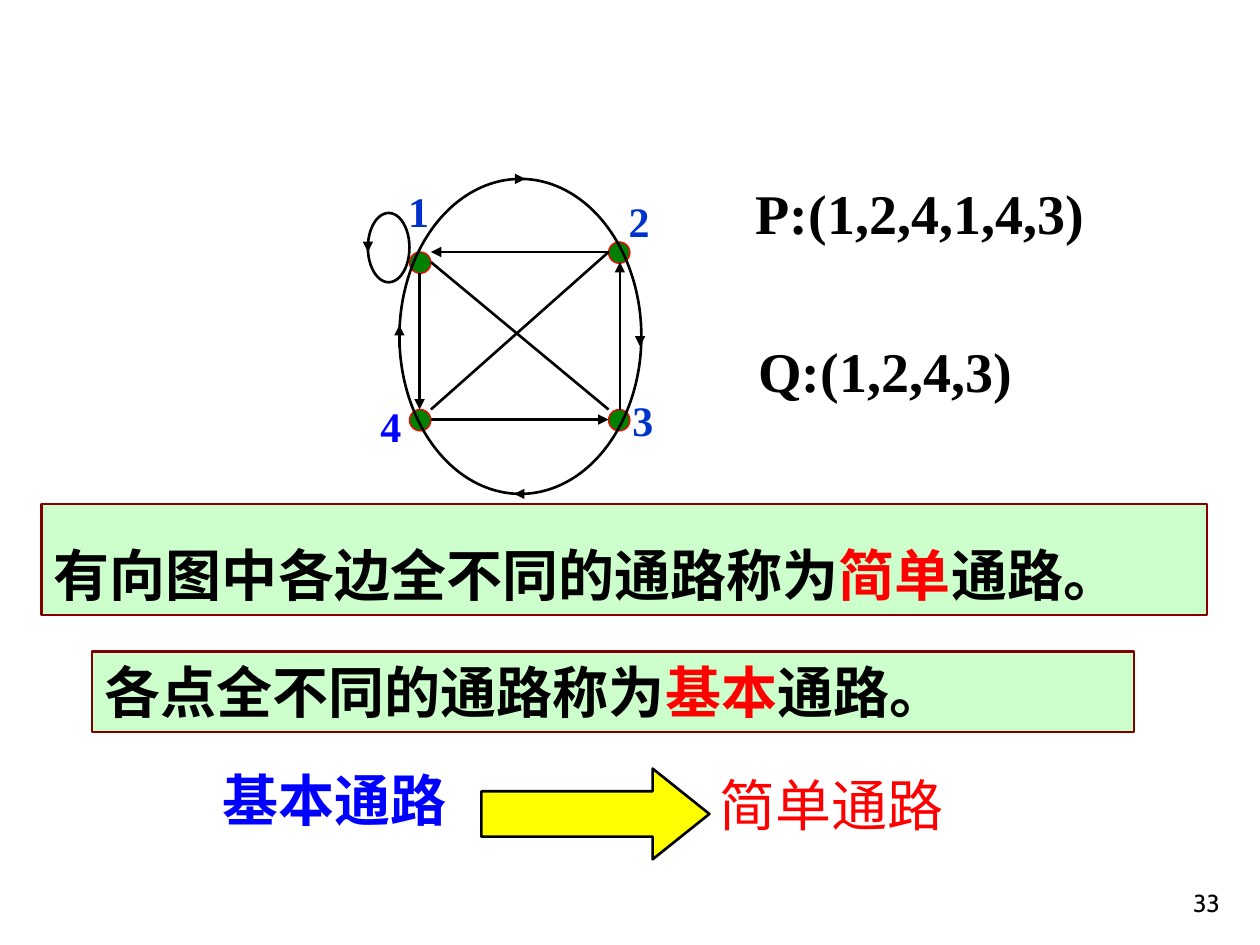
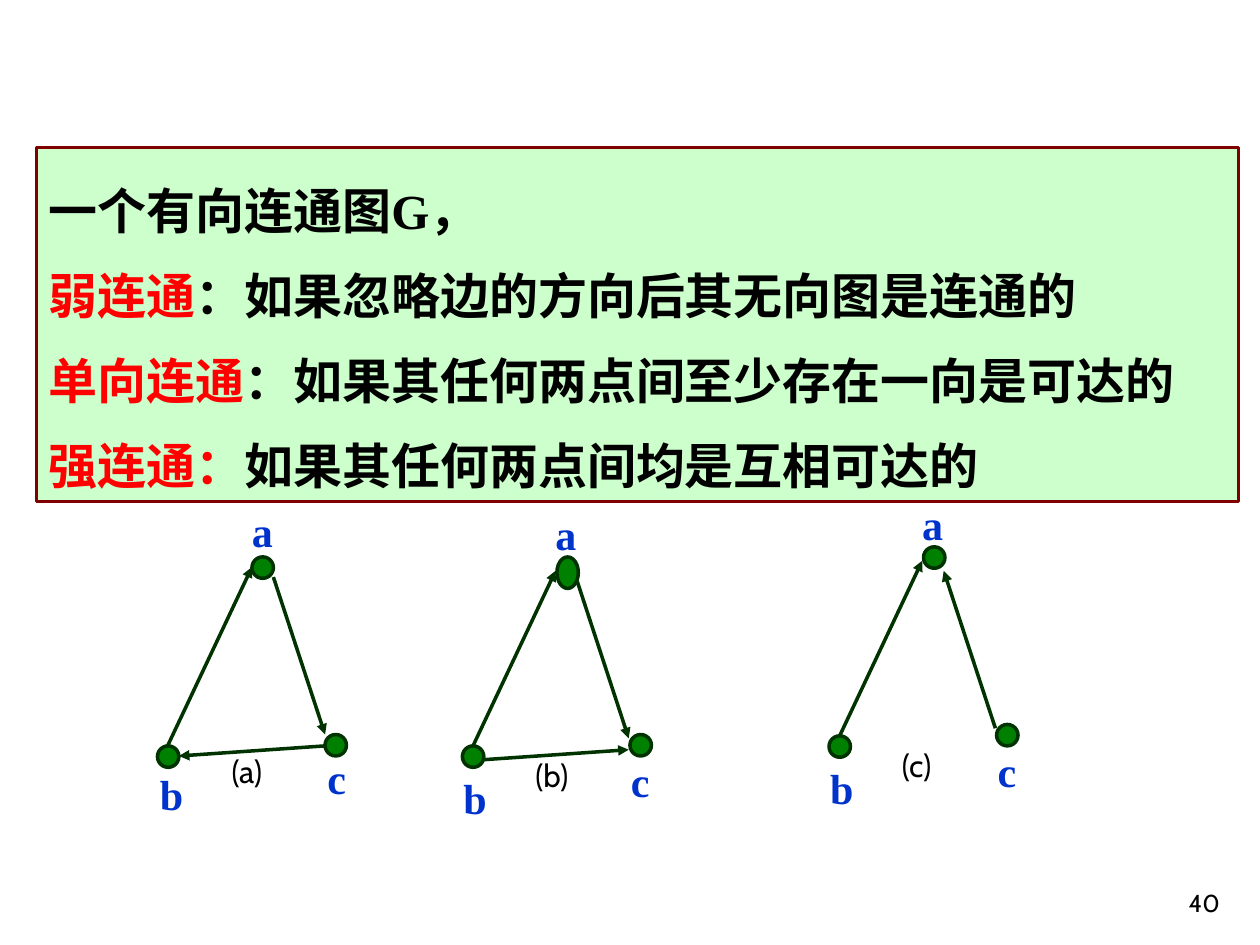
from lxml import etree
from pptx import Presentation
from pptx.dml.color import RGBColor
from pptx.enum.shapes import MSO_CONNECTOR, MSO_SHAPE
from pptx.enum.text import MSO_ANCHOR, PP_ALIGN
from pptx.oxml.ns import qn
from pptx.util import Inches, Pt

STRAIGHT = MSO_CONNECTOR.STRAIGHT
OVAL, RECTANGLE, RIGHT_ARROW = MSO_SHAPE.OVAL, MSO_SHAPE.RECTANGLE, MSO_SHAPE.RIGHT_ARROW
TOP, MIDDLE, BOTTOM = MSO_ANCHOR.TOP, MSO_ANCHOR.MIDDLE, MSO_ANCHOR.BOTTOM
LEFT, RIGHT = PP_ALIGN.LEFT, PP_ALIGN.RIGHT

BLACK = RGBColor(0x00, 0x00, 0x00)
RED = RGBColor(0xFF, 0x00, 0x00)
BLUE = RGBColor(0x00, 0x00, 0xFF)
LABEL_BLUE = RGBColor(0x00, 0x33, 0xCC)
YELLOW = RGBColor(0xFF, 0xFF, 0x00)
NODE_GREEN = RGBColor(0x00, 0x80, 0x00)
DARK_GREEN = RGBColor(0x00, 0x33, 0x00)
PALE_GREEN = RGBColor(0xCC, 0xFF, 0xCC)
MAROON = RGBColor(0x80, 0x00, 0x00)

SANS, SERIF, CHINESE = "Cabin", "Times New Roman", "Noto Sans CJK SC"
NODE_SIZE = 0.17


def write_text(frame, paragraphs, size=32, font=SANS, color=BLACK, bold=False,
               align=LEFT, anchor=TOP, spacing=None, wrap=True):
    """Each paragraph is a string or a list of (text, color, font) runs."""
    frame.word_wrap = wrap
    frame.vertical_anchor = anchor
    for index, runs in enumerate(paragraphs):
        paragraph = frame.add_paragraph() if index else frame.paragraphs[0]
        paragraph.alignment = align
        paragraph.line_spacing = spacing
        if isinstance(runs, str):
            runs = [(runs, color, font)]
        for text, run_color, run_font in runs:
            run = paragraph.add_run()
            run.text = text
            run.font.size = Pt(size)
            run.font.bold = bold
            run.font.color.rgb = run_color
            run.font.name = run_font
            east_asian = etree.SubElement(run.font._element, qn("a:ea"))
            east_asian.set("typeface", CHINESE)


def add_text(shapes, text, left, top, width, height, **text_format):
    box = shapes.add_textbox(Inches(left), Inches(top), Inches(width), Inches(height))
    write_text(box.text_frame, [text], **text_format)


def add_label(shapes, text, left, top, color=LABEL_BLUE):
    add_text(shapes, text, left, top, 0.36, 0.5, size=24, font=SERIF,
             color=color, bold=True, wrap=False)


def add_figure(shapes, kind, left, top, width, height, fill=None, line=BLACK, line_width=1.5):
    shape = shapes.add_shape(kind, Inches(left), Inches(top), Inches(width), Inches(height))
    shape.shadow.inherit = False
    if fill is None:
        shape.fill.background()
    else:
        shape.fill.solid()
        shape.fill.fore_color.rgb = fill
    shape.line.color.rgb = line
    shape.line.width = Pt(line_width)
    return shape


def add_node(shapes, left, top, line, line_width, height=NODE_SIZE):
    add_figure(shapes, OVAL, left, top, NODE_SIZE, height, NODE_GREEN, line, line_width)


def add_edge(shapes, start, end, color=BLACK, width=1.5, arrow=True):
    edge = shapes.add_connector(STRAIGHT, *[Inches(value) for value in (*start, *end)])
    edge.line.color.rgb = color
    edge.line.width = Pt(width)
    if arrow:
        etree.SubElement(edge.line._get_or_add_ln(), qn("a:tailEnd")).set("type", "triangle")
    etree.SubElement(edge._element.spPr, qn("a:effectLst"))


def add_definition(slide, paragraphs, left, top, width, height, line_width=1.5, **text_format):
    panel = add_figure(slide.shapes, RECTANGLE, left, top, width, height,
                       PALE_GREEN, MAROON, line_width)
    write_text(panel.text_frame, paragraphs, bold=True, **text_format)


def add_page_number(slide, number):
    add_text(slide.shapes, number, 7.7, 6.83, 2.08, 0.5, size=14, align=RIGHT, anchor=BOTTOM)


def add_four_node_graph(shapes):
    for left, top in [(4.83, 1.92), (3.25, 3.25), (3.25, 2), (4.83, 3.25)]:
        add_node(shapes, left, top, RED, 0.75)

    # Diagonals
    add_edge(shapes, (3.42, 3.25), (4.83, 2), arrow=False)
    add_edge(shapes, (3.42, 2.08), (4.83, 3.25), arrow=False)

    # Sides of the square, then the direction marks on the loop and the circuit
    arrows = [
        ((4.83, 2), (3.42, 2)), ((3.33, 2.17), (3.33, 3.25)),
        ((3.42, 3.33), (4.83, 3.33)), ((4.92, 3.25), (4.92, 2.08)),
        ((2.92, 1.92), (2.92, 2)), ((4.08, 1.42), (4.17, 1.42)),
        ((5.08, 2.67), (5.08, 2.75)), ((4.17, 3.92), (4.08, 3.92)),
        ((3.17, 2.75), (3.17, 2.58)),
    ]
    for start, end in arrows:
        add_edge(shapes, start, end)

    # Loop at node 1 and outer circuit
    add_figure(shapes, OVAL, 2.92, 1.69, 0.33, 0.55)
    add_figure(shapes, OVAL, 3.17, 1.42, 1.92, 2.5)

    for text, left, top in [("1", 3.14, 1.42), ("2", 4.89, 1.5), ("3", 4.92, 3.08)]:
        add_label(shapes, text, left, top)
    add_label(shapes, "4", 2.92, 3.13, BLUE)


def add_triangle_graph(slide, caption, edges, node_shift, edge_shift, top_height=NODE_SIZE):
    shapes = slide.shapes.add_group_shape().shapes
    node_x, node_y = node_shift
    edge_x, edge_y = edge_shift
    for start, end in edges:
        add_edge(shapes, (start[0] + edge_x, start[1] + edge_y),
                 (end[0] + edge_x, end[1] + edge_y), DARK_GREEN, 2)
    for left, top, height in [(2, 4.42, top_height), (1.25, 5.92, NODE_SIZE),
                              (2.58, 5.83, NODE_SIZE)]:
        add_node(shapes, left + node_x, top + node_y, DARK_GREEN, 2, height)
    for text, left, top in [("a", 1.9, 3.96), ("b", 1.17, 6.05), ("c", 2.5, 5.92)]:
        add_label(shapes, text, left + edge_x, top + edge_y)
    add_text(shapes, caption, 1.74 + edge_x, 5.92 + edge_y, 0.49, 0.4, size=18, wrap=False)


def build_paths_slide(slide):
    # Directed graph and its two paths
    add_four_node_graph(slide.shapes)
    for text, left, top in [("P:(1,2,4,1,4,3)", 5.9, 1.37), ("Q:(1,2,4,3)", 5.92, 2.62)]:
        add_text(slide.shapes, text, left, top, 3.68, 0.64, font=SERIF, bold=True)

    # Definitions
    def definition(opening, term):
        return [[(opening, BLACK, SANS), (term, RED, SANS), ("通路。", BLACK, SANS)]]

    add_definition(slide, definition("有向图中各边全不同的通路称为", "简单"),
                   0.33, 4, 9.25, 0.88, spacing=1.45)
    add_definition(slide, definition("各点全不同的通路称为", "基本"), 0.73, 5.17, 8.27, 0.64)

    # Implication
    shapes = slide.shapes.add_group_shape().shapes
    add_text(shapes, "基本通路", 1.67, 6.03, 2.13, 0.64, color=BLUE, bold=True)
    arrow = add_figure(shapes, RIGHT_ARROW, 3.82, 6.1, 1.81, 0.72, YELLOW)
    arrow.adjustments[1] = 0.625
    add_text(shapes, "简单通路", 5.61, 6.07, 3.14, 0.64, color=RED)
    add_page_number(slide, "33")


def build_connectivity_slide(slide):
    # Definitions
    terms = [("弱连通", "：如果忽略边的方向后其无向图是连通的"),
             ("单向连通", "：如果其任何两点间至少存在一向是可达的"),
             ("强连通：", "如果其任何两点间均是互相可达的")]
    paragraphs = [[("一个有向连通图", BLACK, CHINESE), ("G", BLACK, SERIF),
                   ("，", BLACK, CHINESE)]]
    paragraphs += [[(term, RED, CHINESE), (meaning, BLACK, CHINESE)] for term, meaning in terms]
    add_definition(slide, paragraphs, 0.29, 1.17, 9.54, 2.81, line_width=2,
                   size=28, spacing=1.45)

    # Three example graphs
    b_to_a = ((1.33, 5.92), (2, 4.5))
    a_to_c = ((2.17, 4.58), (2.58, 5.83))
    c_to_b = ((2.58, 5.92), (1.42, 6))
    add_triangle_graph(slide, "(a)", [b_to_a, a_to_c, c_to_b], (0, 0), (0, 0))
    add_triangle_graph(slide, "(b)", [b_to_a, a_to_c, c_to_b[::-1]],
                       (2.42, 0), (2.41, 0.03), top_height=0.25)
    add_triangle_graph(slide, "(c)", [b_to_a, a_to_c[::-1]], (5.33, -0.08), (5.32, -0.05))
    add_page_number(slide, "40")


def main():
    presentation = Presentation()
    presentation.slide_width = Inches(10)
    presentation.slide_height = Inches(7.5)
    blank_layout = presentation.slide_layouts[6]
    for build_slide in (build_paths_slide, build_connectivity_slide):
        build_slide(presentation.slides.add_slide(blank_layout))
    presentation.save("out.pptx")


if __name__ == "__main__":
    main()
